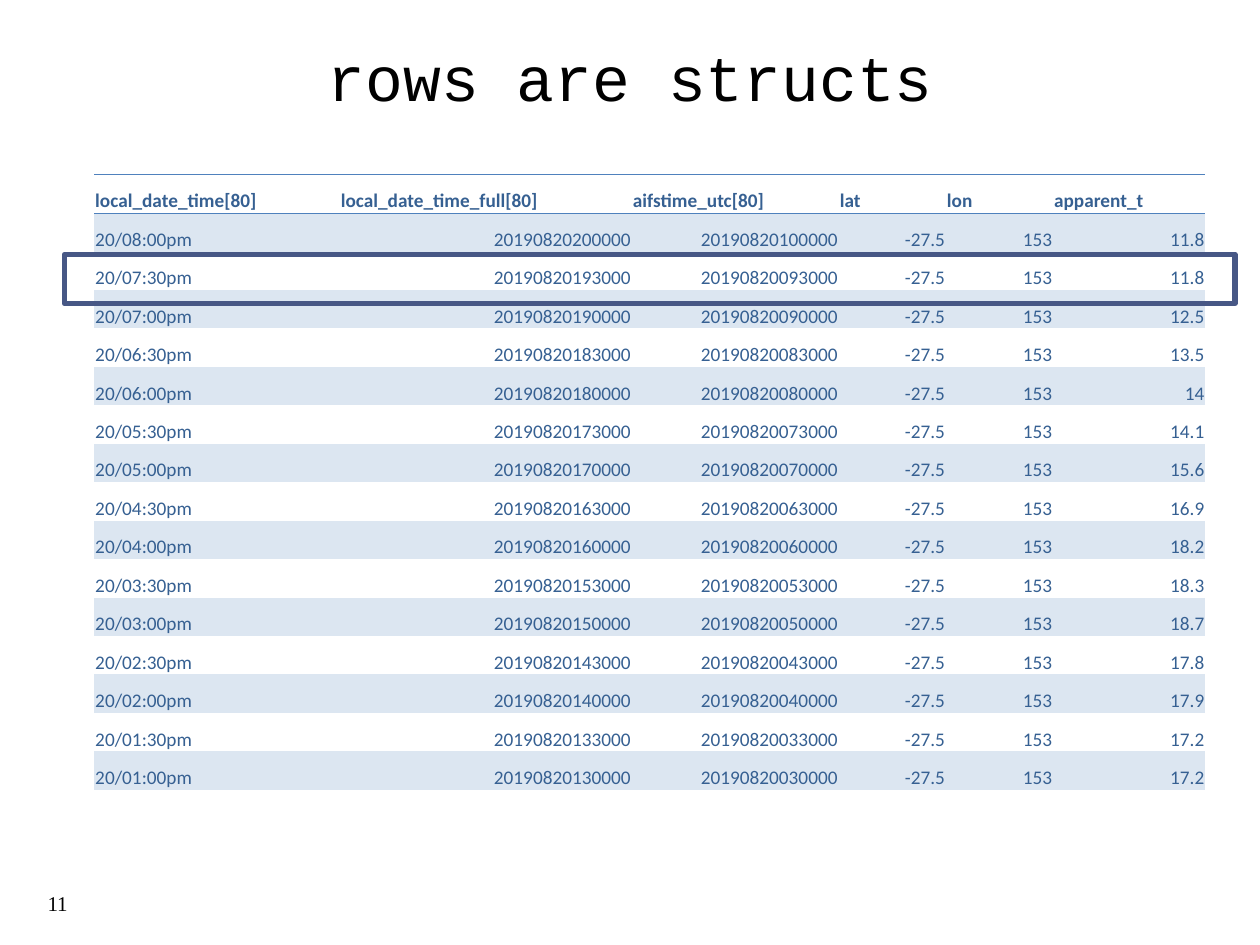
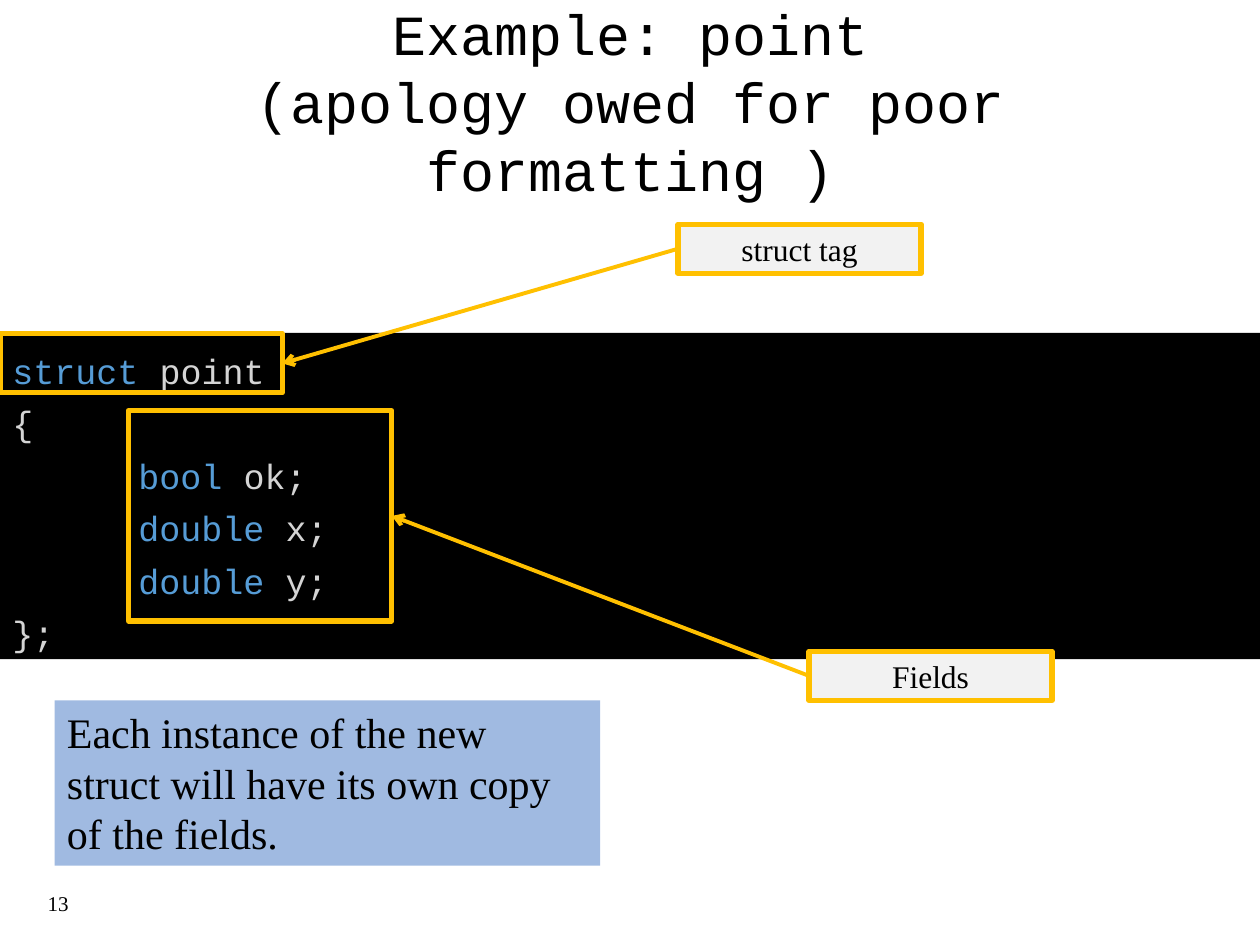
import pptx
import pptx.dml.color
import pptx.enum.shapes
import pptx.enum.text
import pptx.oxml
import pptx.oxml.ns
import pptx.util
from lxml import etree

Cm = pptx.util.Cm
Pt = pptx.util.Pt
RGBColor = pptx.dml.color.RGBColor
ALIGN = pptx.enum.text.PP_ALIGN
ANCHOR = pptx.enum.text.MSO_ANCHOR
RECTANGLE = pptx.enum.shapes.MSO_SHAPE.RECTANGLE

BLACK = RGBColor(0x00, 0x00, 0x00)
TABLE_TEXT = RGBColor(0x36, 0x60, 0x92)
TABLE_RULE = RGBColor(0x4F, 0x81, 0xBD)
TABLE_BAND = RGBColor(0xDC, 0xE6, 0xF1)
ROW_FRAME = RGBColor(0x47, 0x57, 0x85)
KEYWORD = RGBColor(0x56, 0x9C, 0xD6)
CODE_TEXT = RGBColor(0xD4, 0xD4, 0xD4)
GOLD = RGBColor(0xFF, 0xC0, 0x00)
LABEL_FILL = RGBColor(0xF2, 0xF2, 0xF2)
NOTE_FILL = RGBColor(0xA0, 0xBA, 0xE1)

NUMBER_FORMAT = {"name": "Times New Roman", "size": Pt(12)}
LABEL_FORMAT = {"name": "Times New Roman", "size": Pt(18)}
NOTE_FORMAT = {"name": "Times New Roman", "size": Pt(24)}
CODE_FORMAT = {"name": "Courier New", "size": Pt(20)}
HEADER_FORMAT = {"name": "Calibri", "size": Pt(11), "bold": True}
CELL_FORMAT = {**HEADER_FORMAT, "bold": False}


def add_box(shapes, bounds, fill=None, line=None, anchor=ANCHOR.TOP):
    shape = shapes.add_shape(RECTANGLE, *map(Cm, bounds))
    shape.shadow.inherit = False
    shape.fill.background()
    if fill is not None:
        shape.fill.solid()
        shape.fill.fore_color.rgb = fill
    shape.line.fill.background()
    if line is not None:
        shape.line.color.rgb = line
        shape.line.width = Pt(3)
    shape.text_frame.word_wrap = True
    shape.text_frame.vertical_anchor = anchor
    return shape


def write(paragraph, text, format_values, color=BLACK, alignment=ALIGN.LEFT):
    paragraph.alignment = alignment
    for index, line in enumerate(text.split("\n")):
        if index:
            paragraph.add_line_break()
        run = paragraph.add_run()
        run.text = line
        for attribute, value in format_values.items():
            setattr(run.font, attribute, value)
        run.font.color.rgb = color


presentation = pptx.Presentation()
presentation.slide_width = Cm(25.4)
presentation.slide_height = Cm(19.05)

slides = []
for title, title_size, title_height, number in [
    ("rows are structs", 36, 2.77, "11"),
    ("Example: point\n(apology owed for poor formatting )", 32.4, 3.76, "13"),
]:
    slide = presentation.slides.add_slide(presentation.slide_layouts[6])
    slides.append(slide)
    title_format = {"name": "Courier New", "size": Pt(title_size)}
    for bounds, text, format_values, alignment in [
        ((0.71, 0.15, 24, title_height), title, title_format, ALIGN.CENTER),
        ((0.71, 17.7, 18.6, 1.02), number, NUMBER_FORMAT, ALIGN.LEFT),
    ]:
        text_frame = slide.shapes.add_textbox(*map(Cm, bounds)).text_frame
        text_frame.word_wrap = True
        text_frame.vertical_anchor = ANCHOR.MIDDLE
        write(text_frame.paragraphs[0], text, format_values, alignment=alignment)

table_slide, code_slide = slides

temperatures = ["11.8", "11.8", "12.5", "13.5", "14", "14.1", "15.6", "16.9",
                "18.2", "18.3", "18.7", "17.8", "17.9", "17.2", "17.2"]
rows = [["local_date_time[80]", "local_date_time_full[80]", "aifstime_utc[80]",
         "lat", "lon", "apparent_t"]]
for index, temperature in enumerate(temperatures):
    hour, minute = divmod(20 * 60 - 30 * index, 60)
    rows.append([f"20/{hour - 12:02}:{minute:02}pm",
                 f"20190820{hour:02}{minute:02}00",
                 f"20190820{hour - 10:02}{minute:02}00",
                 "-27.5", "153", temperature])

column_widths = [4.95, 5.89, 4.17, 2.16, 2.16, 3.07]
table = table_slide.shapes.add_table(
    len(rows), len(column_widths), Cm(1.9), Cm(3.52), Cm(22.4), Cm(12.4)).table
table.first_row = False
table.horz_banding = False
for column, width in zip(table.columns, column_widths):
    column.width = Cm(width)

cell_layout = {"vertical_anchor": ANCHOR.BOTTOM, "margin_left": Cm(0.02),
               "margin_right": Cm(0.02), "margin_top": Cm(0.02), "margin_bottom": 0}
for row_index, values in enumerate(rows):
    ruled_sides = {0: ("T", "B"), 1: ("T",)}.get(row_index, ())
    for column_index, value in enumerate(values):
        cell = table.cell(row_index, column_index)
        for attribute, setting in cell_layout.items():
            setattr(cell, attribute, setting)
        is_number = row_index > 0 and column_index > 0
        write(cell.text_frame.paragraphs[0], value,
              CELL_FORMAT if row_index else HEADER_FORMAT, TABLE_TEXT,
              ALIGN.RIGHT if is_number else ALIGN.LEFT)
        properties = cell._tc.get_or_add_tcPr()
        for side in "LRTB":
            ruled = side in ruled_sides
            border = etree.SubElement(properties, pptx.oxml.ns.qn(f"a:ln{side}"),
                                      w=str(Pt(0.5) if ruled else 0))
            if ruled:
                border_fill = etree.SubElement(border, pptx.oxml.ns.qn("a:solidFill"))
                etree.SubElement(border_fill, pptx.oxml.ns.qn("a:srgbClr"),
                                 val=str(TABLE_RULE))
            else:
                etree.SubElement(border, pptx.oxml.ns.qn("a:noFill"))
        if row_index % 2:
            cell.fill.solid()
            cell.fill.fore_color.rgb = TABLE_BAND
        else:
            cell.fill.background()

add_box(table_slide.shapes, (1.3, 5.13, 23.6, 0.99), line=ROW_FRAME)

code_lines = [
    [("struct ", KEYWORD), ("point", CODE_TEXT)],
    [("{", CODE_TEXT)],
    [("\tbool ", KEYWORD), ("ok;", CODE_TEXT)],
    [("\tdouble ", KEYWORD), ("x;", CODE_TEXT)],
    [("\tdouble ", KEYWORD), ("y;", CODE_TEXT)],
    [("};", CODE_TEXT)],
]
code_frame = add_box(code_slide.shapes, (0, 6.71, 25.4, 6.58), fill=BLACK).text_frame
code_frame.auto_size = pptx.enum.text.MSO_AUTO_SIZE.SHAPE_TO_FIT_TEXT
for index, code_line in enumerate(code_lines):
    paragraph = code_frame.add_paragraph() if index else code_frame.paragraphs[0]
    paragraph.line_spacing = 1.25
    tab_stops = etree.SubElement(paragraph._p.get_or_add_pPr(),
                                 pptx.oxml.ns.qn("a:tabLst"))
    etree.SubElement(tab_stops, pptx.oxml.ns.qn("a:tab"), pos=str(Cm(2.54)), algn="l")
    for text, color in code_line:
        write(paragraph, text, CODE_FORMAT, color)

for text, label_left, label_top, frame_bounds in [
    ("struct tag", 13.67, 4.52, (0, 6.73, 5.69, 1.19)),
    ("Fields", 16.31, 13.13, (2.59, 8.28, 5.31, 4.24)),
]:
    shapes = code_slide.shapes.add_group_shape().shapes
    frame = add_box(shapes, frame_bounds, line=GOLD)
    label = add_box(shapes, (label_left, label_top, 4.9, 0.99), LABEL_FILL, GOLD,
                    ANCHOR.MIDDLE)
    write(label.text_frame.paragraphs[0], text, LABEL_FORMAT, alignment=ALIGN.CENTER)
    arrow = shapes.add_connector(pptx.enum.shapes.MSO_CONNECTOR.STRAIGHT, 0, 0, 0, 0)
    arrow.begin_connect(label, 1)
    arrow.end_connect(frame, 3)
    arrow.line.color.rgb = GOLD
    arrow.line.width = Pt(2.25)
    etree.SubElement(arrow.line._get_or_add_ln(), pptx.oxml.ns.qn("a:tailEnd"),
                     type="arrow")
    etree.SubElement(arrow._element.spPr, pptx.oxml.ns.qn("a:effectLst"))

note = add_box(code_slide.shapes, (1.1, 14.12, 11, 3.33), fill=NOTE_FILL)
note.text_frame.auto_size = pptx.enum.text.MSO_AUTO_SIZE.SHAPE_TO_FIT_TEXT
write(note.text_frame.paragraphs[0],
      "Each instance of the new struct will have its own copy of the fields.",
      NOTE_FORMAT)

presentation.save("out.pptx")
